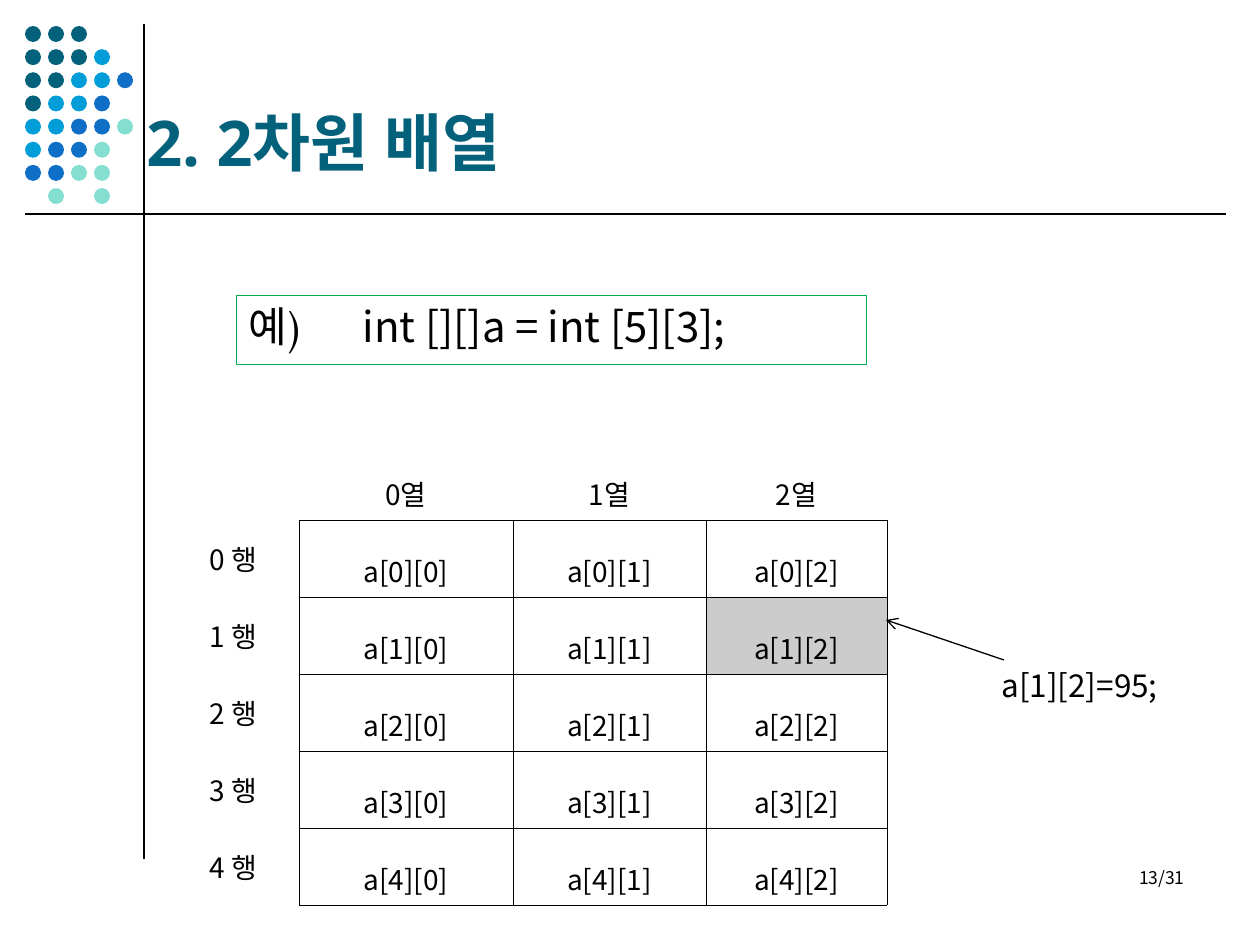
from lxml.etree import SubElement
from pptx import Presentation
from pptx.dml.color import RGBColor
from pptx.enum.shapes import MSO_CONNECTOR, MSO_SHAPE
from pptx.enum.text import MSO_ANCHOR, PP_ALIGN
from pptx.oxml.ns import qn
from pptx.util import Pt

PX = 7257  # EMU per px, 126 px to the inch
BLACK = RGBColor(0x00, 0x00, 0x00)
TEAL = RGBColor(0x04, 0x61, 0x7B)
SKY = RGBColor(0x00, 0x9D, 0xD9)
BLUE = RGBColor(0x0F, 0x6F, 0xC6)
MINT = RGBColor(0x85, 0xDF, 0xD0)
GREEN = RGBColor(0x00, 0xB0, 0x50)
GREY = RGBColor(0xCC, 0xCC, 0xCC)
SANS, TITLE_FONT, SERIF = "Noto Sans CJK KR", "Open Sans", "Vollkorn"

# Content
TITLE = "2. 2차원 배열"
EXAMPLE = [("예)\t", SERIF), ("int [][]a = int [5][3];", SANS)]
ASSIGNMENT = "a[1][2]=95;"
PAGE = "13/31"
ROWS, COLS = 5, 3
MARKED = (1, 2)
GRID = [[""] + [f"{c}열" for c in range(COLS)]]
GRID += [[f"{r} 행"] + [f"a[{r}][{c}]" for c in range(COLS)] for r in range(ROWS)]
DOTS = ["TTT", "TTTS", "TTSSB", "TSSB", "SSBBM", "SBBM", "BBMM", " M M"]
DOT_COLORS = {"T": TEAL, "S": SKY, "B": BLUE, "M": MINT}

# Layout in px
RULES = [(144, 24, 144, 859), (25, 214, 1226, 214)]
ARROW = (1004, 660, 886, 620)
DOT_LEFT, DOT_TOP, DOT_SIZE, DOT_STEP = 25, 26, 16, 23
TABLE_LEFT, TABLE_TOP, ROW_H = 168, 443, 77
COL_W = [131, 214, 193, 181]
EXAMPLE_TAB = 114


def px(*values):
    return [round(v * PX) for v in values]


def apply(obj, **values):
    for name, value in values.items():
        setattr(obj, name, value)


def add_run(p, text, size, font=SANS, color=BLACK, bold=False, asian=SANS):
    r = p.add_run()
    r.text = text
    apply(r.font, size=Pt(size), name=font, bold=bold)
    r.font.color.rgb = color
    SubElement(r.font._element, qn("a:ea"), typeface=asian)


def add_text(slide, box, text, size, align=PP_ALIGN.LEFT, wrap=True,
             anchor=MSO_ANCHOR.TOP, **style):
    tf = slide.shapes.add_textbox(*px(*box)).text_frame
    apply(tf, word_wrap=wrap, vertical_anchor=anchor)
    p = tf.paragraphs[0]
    p.alignment = align
    add_run(p, text, size, **style)


def add_line(slide, ends, arrow=False):
    line = slide.shapes.add_connector(MSO_CONNECTOR.STRAIGHT, *px(*ends))
    line.line.color.rgb = BLACK
    line.line.width = Pt(0.75)
    if arrow:
        SubElement(line.line._get_or_add_ln(), qn("a:tailEnd"), type="arrow")
    SubElement(line._element.spPr, qn("a:effectLst"))


def set_borders(cell, sides):
    tcPr = cell._tc.get_or_add_tcPr()
    for side in "LRTB":
        ln = SubElement(tcPr, qn(f"a:ln{side}"), w=str(Pt(0.45)))
        if side in sides:
            fill = SubElement(ln, qn("a:solidFill"))
            SubElement(fill, qn("a:srgbClr"), val=str(BLACK))
        else:
            SubElement(ln, qn("a:noFill"))


def add_dots(slide):
    for row, line in enumerate(DOTS):
        for col, key in enumerate(line):
            if key == " ":
                continue
            left = DOT_LEFT + col * DOT_STEP
            top = DOT_TOP + row * (DOT_STEP + 0.15)
            sp = slide.shapes.add_shape(MSO_SHAPE.OVAL, *px(left, top, DOT_SIZE, DOT_SIZE))
            sp.shadow.inherit = False
            sp.fill.solid()
            sp.fill.fore_color.rgb = DOT_COLORS[key]
            sp.line.fill.background()


def add_array_table(slide):
    box = px(TABLE_LEFT, TABLE_TOP, sum(COL_W), ROW_H * len(GRID))
    table = slide.shapes.add_table(len(GRID), len(COL_W), *box).table
    apply(table, first_row=False, horz_banding=False)
    for col, width in zip(table.columns, px(*COL_W)):
        col.width = width
    for r, row in enumerate(GRID):
        for c, text in enumerate(row):
            cell = table.cell(r, c)
            cell.vertical_anchor = MSO_ANCHOR.MIDDLE
            set_borders(cell, "LRTB" if r and c else "R" if r else "B" if c else "")
            if (r - 1, c - 1) == MARKED:
                cell.fill.solid()
                cell.fill.fore_color.rgb = GREY
            else:
                cell.fill.background()
            p = cell.text_frame.paragraphs[0]
            p.alignment = PP_ALIGN.CENTER
            if c:
                p.line_spacing = 1.6
            if text:
                add_run(p, text, 16)


def add_example(slide):
    sp = slide.shapes.add_shape(MSO_SHAPE.RECTANGLE, *px(236.5, 295.5, 630, 69))
    sp.shadow.inherit = False
    sp.fill.background()
    sp.line.color.rgb = GREEN
    sp.line.width = Pt(0.75)
    tf = sp.text_frame
    apply(tf, word_wrap=True, vertical_anchor=MSO_ANCHOR.TOP)
    p = tf.paragraphs[0]
    apply(p, alignment=PP_ALIGN.LEFT, line_spacing=Pt(28))
    tabs = SubElement(p._p.get_or_add_pPr(), qn("a:tabLst"))
    SubElement(tabs, qn("a:tab"), pos=str(EXAMPLE_TAB * PX), algn="l")
    for text, font in EXAMPLE:
        add_run(p, text, 24, font)


def main():
    prs = Presentation()
    prs.slide_width, prs.slide_height = px(1260, 945)
    slide = prs.slides.add_slide(prs.slide_layouts[6])

    # Frame: rules, dot pattern, title
    for ends in RULES:
        add_line(slide, ends)
    add_dots(slide)
    add_text(slide, (134, 26, 1126, 159), TITLE, 36, anchor=MSO_ANCHOR.BOTTOM,
             font=TITLE_FONT, asian=TITLE_FONT, color=TEAL, bold=True)

    # Array and its declaration
    add_array_table(slide)
    add_example(slide)

    # Assignment note and page number
    add_text(slide, (989, 660, 183, 50), ASSIGNMENT, 18, wrap=False)
    add_line(slide, ARROW, arrow=True)
    add_text(slide, (903, 861, 294, 63), PAGE, 10, PP_ALIGN.RIGHT)
    prs.save("out.pptx")


if __name__ == "__main__":
    main()
